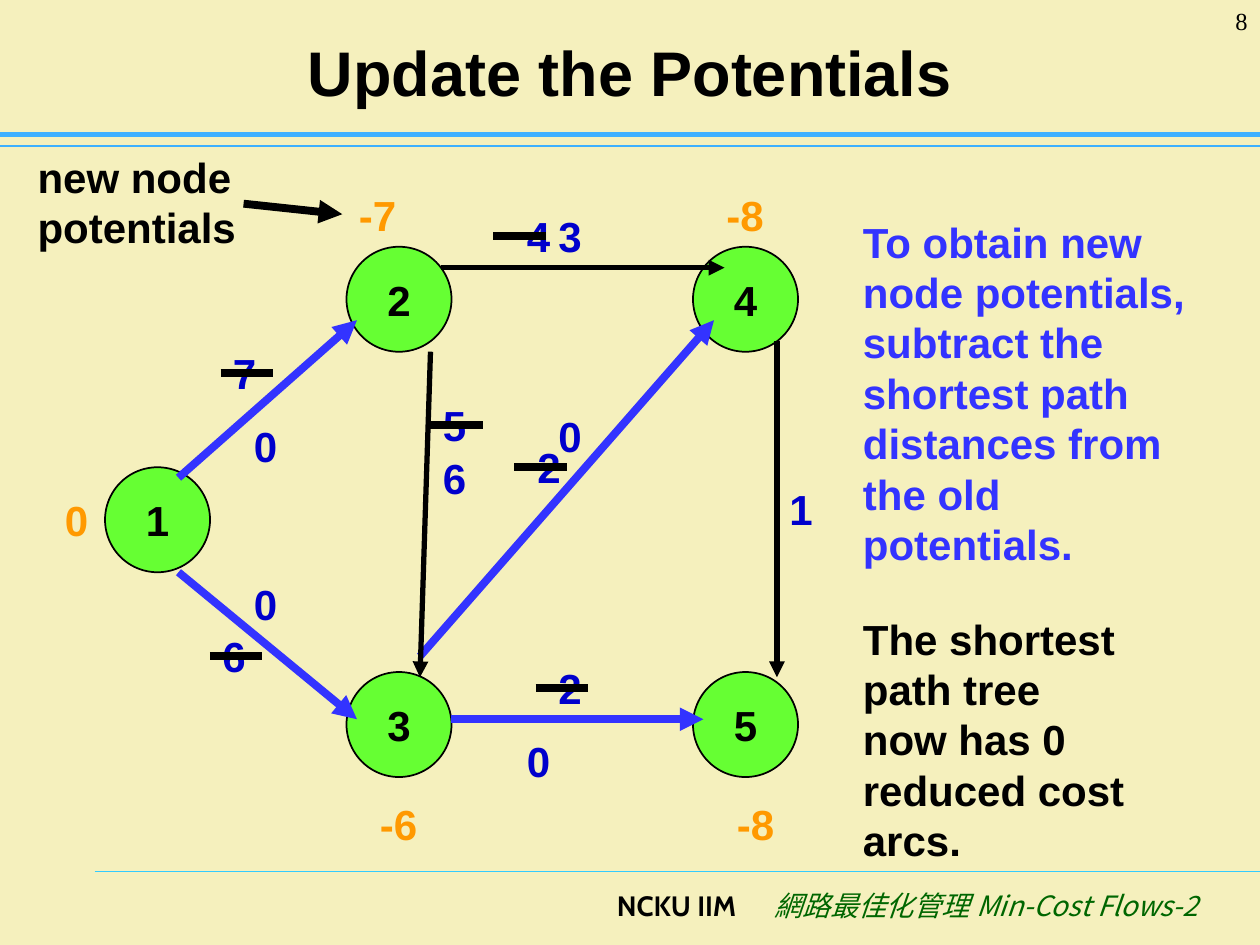
"""Build a slide that updates node potentials in a min-cost flow network."""
import pptx
import pptx.dml.color
import pptx.enum.shapes
import pptx.enum.text
import pptx.oxml.ns
import pptx.util
from lxml import etree

COLS, ROWS = 120, 90
WIDE, HIGH = pptx.util.Inches(10), pptx.util.Inches(7.5)
ALIGN = pptx.enum.text.PP_ALIGN
MID = pptx.enum.text.MSO_ANCHOR.MIDDLE
BLACK, BLUE, NAVY, GOLD = "000000", "3333FF", "0000CC", "FF9900"
BOLD = {"name": "Arial", "size": pptx.util.Pt(24), "bold": True}

NODES = [("1", 10, 44.5), ("2", 33, 23.5), ("3", 33, 64), ("5", 66, 64), ("4", 66, 23.5)]
ARCS = [
    (17, 45.5, 34, 30.5, BLUE), (42, 25.5, 69, 25.5, BLACK),
    (74, 32.5, 74, 64.5, BLACK), (40, 62.5, 68, 30.5, BLUE),
    (17, 54.5, 34, 68.5, BLUE), (43, 68.5, 67, 68.5, BLUE),
    (41, 33.5, 40, 64.5, BLACK),
]
COSTS = [
    ("4", 49, 19.5), ("1", 74, 45.5), ("2", 50, 41.5), ("2", 52, 62.5),
    ("5", 41, 37.5), ("6", 20, 59.5), ("7", 21, 32.5),
    ("0", 23, 39.5), ("0", 23, 54.5), ("0", 49, 69.5),
    ("0", 52, 38.5), ("6", 41, 42.5), ("3", 52, 19.5),
]
LEVELS = [("0", 5, 46.5), ("-7", 33, 17.5), ("-8", 68, 17.5), ("-8", 69, 75.5), ("-6", 35, 75.5)]
STRIKES = [(20, 62.5), (21, 35.5), (41, 40.5), (47, 22.5), (49, 44.5), (51, 65.5)]
NOTES = [
    ("To obtain new node potentials, subtract the shortest path distances "
     "from the old potentials.", 81, 20, 34, 34.8, BLUE),
    ("The shortest path tree now has 0 reduced cost arcs.", 81, 57.8, 28, 25.2, BLACK),
    ("new node potentials", 2.4, 13.8, 24, 10.8, BLACK),
]


def hue(code):
    """Turn a hex string into a colour."""
    return pptx.dml.color.RGBColor.from_string(code)


def col(num):
    """Give the length of a number of grid columns."""
    return round(WIDE * num / COLS)


def row(num):
    """Give the length of a number of grid rows."""
    return round(HIGH * num / ROWS)


def style(frame, text, code, look, align=ALIGN.LEFT):
    """Write one paragraph into a text frame and format it."""
    para = frame.paragraphs[0]
    para.alignment = align
    run = para.add_run()
    run.text = text
    for key, value in look.items():
        setattr(run.font, key, value)
    run.font.color.rgb = hue(code)
    etree.SubElement(run.font._element, pptx.oxml.ns.qn("a:ea"), typeface=look["name"])


def label(slide, text, left, top, width, height, code, look=BOLD, align=ALIGN.LEFT, anchor=None):
    """Add a wrapped text box."""
    box = slide.shapes.add_textbox(col(left), row(top), col(width), row(height))
    box.text_frame.word_wrap = True
    box.text_frame.vertical_anchor = anchor
    style(box.text_frame, text, code, look, align)


def node(slide, text, left, top):
    """Add a numbered round node."""
    oval = slide.shapes.add_shape(
        pptx.enum.shapes.MSO_SHAPE.OVAL, col(left), row(top), col(10), row(10))
    oval.shadow.inherit = False
    oval.fill.solid()
    oval.fill.fore_color.rgb = hue("66FF33")
    oval.line.color.rgb = hue(BLACK)
    oval.line.width = pptx.util.Pt(1)
    oval.text_frame.word_wrap = False
    oval.text_frame.vertical_anchor = MID
    style(oval.text_frame, text, BLACK, BOLD, ALIGN.CENTER)


def line(slide, x1, y1, x2, y2, code, weight, arrow=False):
    """Add a straight line, with an arrowhead at its end if asked."""
    link = slide.shapes.add_connector(
        pptx.enum.shapes.MSO_CONNECTOR.STRAIGHT, col(x1), row(y1), col(x2), row(y2))
    link.line.color.rgb = hue(code)
    link.line.width = pptx.util.Pt(weight)
    if arrow:
        etree.SubElement(link.line._get_or_add_ln(), pptx.oxml.ns.qn("a:tailEnd"), type="triangle")
    etree.SubElement(link._element.spPr, pptx.oxml.ns.qn("a:effectLst"))


def frame(slide):
    """Add the rules, footer, title and page number."""
    line(slide, 9, 83, COLS, 83, "33CCFF", 0.75)
    line(slide, 0, 13.9, COLS, 13.9, "3DB0FF", 0.75)
    line(slide, 0, 12.8, COLS, 12.8, "3DB0FF", 2.5)
    size = pptx.util.Pt(16)
    school = {"name": "Cabin", "size": size, "bold": True}
    course = {"name": "Noto Sans CJK SC", "size": size, "italic": True}
    label(slide, "NCKU IIM", 42, 84, 29.3, 6, BLACK, school, ALIGN.RIGHT)
    label(slide, "網路最佳化管理 Min-Cost Flows-2", 66, 84, 49.3, 6, "006600", course, ALIGN.RIGHT)
    title = {**BOLD, "size": pptx.util.Pt(36)}
    label(slide, "Update the Potentials", 6, 1.6, 108, 10.4, BLACK, title, ALIGN.CENTER, MID)
    page = {"name": "Times New Roman", "size": pptx.util.Pt(14)}
    label(slide, "8", 110, 0, 10, 6, BLACK, page, ALIGN.RIGHT)


def main():
    """Build and save the slide."""
    deck = pptx.Presentation()
    deck.slide_width, deck.slide_height = WIDE, HIGH
    slide = deck.slides.add_slide(deck.slide_layouts[6])
    slide.background.fill.solid()
    slide.background.fill.fore_color.rgb = hue("F5F0BD")
    frame(slide)
    for item in NODES:
        node(slide, *item)
    for *ends, code in ARCS:
        line(slide, *ends, code, 4.5 if code == BLUE else 3, True)
    for code, group in ((NAVY, COSTS), (GOLD, LEVELS)):
        for text, left, top in group:
            label(slide, text, left, top, 8, 6, code)
    for left, top in STRIKES:
        line(slide, left, top, left + 5, top, BLACK, 4.5)
    for note in NOTES:
        label(slide, *note)
    line(slide, 23.2, 19.4, 32.6, 20.4, BLACK, 4.5, True)
    deck.save("out.pptx")


if __name__ == "__main__":
    main()
